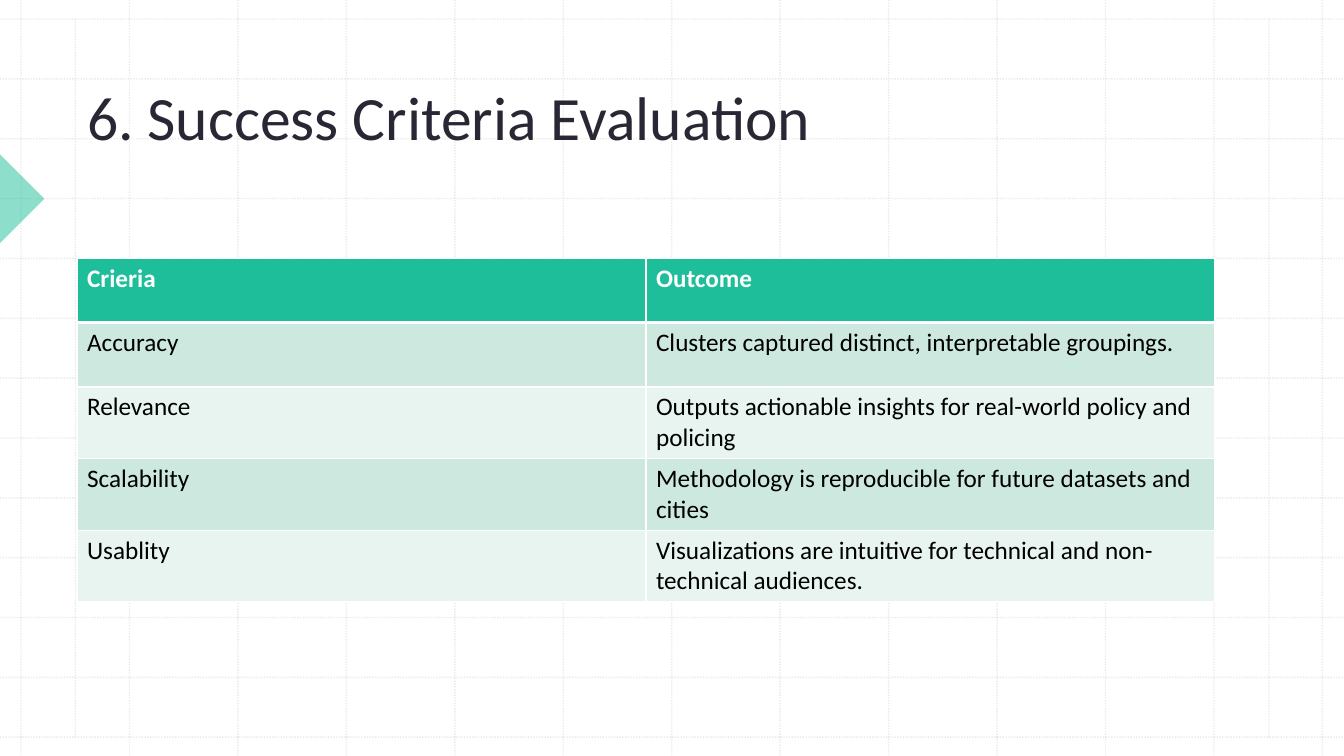
import dataclasses
import typing

import pptx
import pptx.dml.color
import pptx.enum.dml
import pptx.enum.shapes
import pptx.enum.text
import pptx.oxml
import pptx.oxml.ns
import pptx.util

Cm = pptx.util.Cm
Pt = pptx.util.Pt
RGBColor = pptx.dml.color.RGBColor

WHITE = RGBColor(0xFF, 0xFF, 0xFF)
BLACK = RGBColor(0x00, 0x00, 0x00)
INK = RGBColor(0x2A, 0x27, 0x35)
GRID_GREY = RGBColor(0xBC, 0xBC, 0xBC)
GREEN = RGBColor(0x1E, 0xBE, 0x9B)
BAND_DARK = RGBColor(0xCD, 0xE8, 0xDE)
BAND_LIGHT = RGBColor(0xE8, 0xF4, 0xEF)

FONT = "Calibri"
WIDTH, HEIGHT = 33.87, 19.05
GRID_LEFT, GRID_TOP = 0.53, 0.48
COLUMN_STEP, ROW_STEP = 2.733, 1.508
GRID_COUNT = 13
CONTENT_LEFT, CONTENT_WIDTH = 1.94, 28.68
ROW_HEIGHT = 1.62


@dataclasses.dataclass(frozen=True)
class GridLine:
    x1: float
    y1: float
    x2: float
    y2: float


@dataclasses.dataclass(frozen=True)
class Criterion:
    name: str
    outcome: str


HEADER = Criterion("Crieria", "Outcome")
CRITERIA = [
    Criterion("Accuracy", "Clusters captured distinct, interpretable groupings."),
    Criterion("Relevance", "Outputs actionable insights for real-world policy and policing"),
    Criterion("Scalability", "Methodology is reproducible for future datasets and cities"),
    Criterion("Usablity", "Visualizations are intuitive for technical and non-technical audiences."),
]


def grid_lines() -> list[GridLine]:
    bottom = GRID_TOP + (GRID_COUNT - 1) * ROW_STEP
    columns = [GRID_LEFT + index * COLUMN_STEP for index in range(GRID_COUNT)]
    rows = [GRID_TOP + index * ROW_STEP for index in range(GRID_COUNT)]
    return (
        [GridLine(x, 0, x, HEIGHT) for x in columns]
        + [GridLine(0, y, WIDTH, y) for y in rows]
        + [GridLine(x, GRID_TOP, x, bottom) for x in (1.9, 31.98)]
    )


def set_alpha(properties: typing.Any, percent: int) -> None:
    color = properties.find(".//" + pptx.oxml.ns.qn("a:srgbClr"))
    color.append(pptx.oxml.parse_xml(
        f'<a:alpha {pptx.oxml.ns.nsdecls("a")} val="{percent * 1000}"/>'))


def draw_grid_line(slide: typing.Any, line: GridLine) -> None:
    connector = slide.shapes.add_connector(
        pptx.enum.shapes.MSO_CONNECTOR.STRAIGHT,
        Cm(line.x1), Cm(line.y1), Cm(line.x2), Cm(line.y2))
    connector.line.color.rgb = GRID_GREY
    connector.line.width = Pt(1)
    connector.line.dash_style = pptx.enum.dml.MSO_LINE.ROUND_DOT
    properties = connector.element.spPr
    set_alpha(properties, 30)
    properties.append(pptx.oxml.parse_xml(
        f'<a:effectLst {pptx.oxml.ns.nsdecls("a")}/>'))


def draw_marker(slide: typing.Any) -> None:
    marker = slide.shapes.add_shape(
        pptx.enum.shapes.MSO_SHAPE.RIGHT_TRIANGLE,
        Cm(-0.79), Cm(4.22), Cm(1.58), Cm(1.58))
    marker.rotation = 225
    marker.shadow.inherit = False
    marker.fill.solid()
    marker.fill.fore_color.rgb = GREEN
    marker.line.fill.background()
    set_alpha(marker.element.spPr, 50)


def write_text(text_frame: typing.Any, text: str, *, size: float,
               color: RGBColor, bold: bool = False) -> None:
    paragraph = text_frame.paragraphs[0]
    paragraph.alignment = pptx.enum.text.PP_ALIGN.LEFT
    run = paragraph.add_run()
    run.text = text
    run.font.name = FONT
    run.font.size = Pt(size)
    run.font.bold = bold
    run.font.color.rgb = color


def draw_title(slide: typing.Any, text: str) -> None:
    title = slide.shapes.title
    title.left, title.top = Cm(CONTENT_LEFT), Cm(1.7)
    title.width, title.height = Cm(CONTENT_WIDTH), Cm(2.29)
    title.text_frame.auto_size = pptx.enum.text.MSO_AUTO_SIZE.NONE
    title.text_frame.word_wrap = True
    title.text_frame.vertical_anchor = pptx.enum.text.MSO_ANCHOR.BOTTOM
    write_text(title.text_frame, text, size=44, color=INK)
    title.element.getparent().append(title.element)


def set_borders(cell: typing.Any, top: float, bottom: float) -> None:
    properties = cell._tc.get_or_add_tcPr()
    for side, width in (("L", 1), ("R", 1), ("T", top), ("B", bottom)):
        properties.append(pptx.oxml.parse_xml(
            f'<a:ln{side} {pptx.oxml.ns.nsdecls("a")} w="{Pt(width)}">'
            f'<a:solidFill><a:srgbClr val="{WHITE}"/></a:solidFill></a:ln{side}>'))


def draw_table(slide: typing.Any, criteria: list[Criterion]) -> None:
    rows = [HEADER, *criteria]
    table = slide.shapes.add_table(
        len(rows), 2, Cm(CONTENT_LEFT), Cm(6.51),
        Cm(CONTENT_WIDTH), Cm(ROW_HEIGHT * len(rows))).table
    for row_index, criterion in enumerate(rows):
        is_header = row_index == 0
        band = BAND_DARK if row_index % 2 else BAND_LIGHT
        for column_index, text in enumerate((criterion.name, criterion.outcome)):
            cell = table.cell(row_index, column_index)
            set_borders(cell, top=3 if row_index == 1 else 1,
                        bottom=3 if is_header else 1)
            cell.fill.solid()
            cell.fill.fore_color.rgb = GREEN if is_header else band
            write_text(cell.text_frame, text, size=18,
                       color=WHITE if is_header else BLACK, bold=is_header)


def main() -> None:
    presentation = pptx.Presentation()
    presentation.slide_width, presentation.slide_height = Cm(WIDTH), Cm(HEIGHT)
    slide = presentation.slides.add_slide(presentation.slide_layouts[5])
    slide.background.fill.solid()
    slide.background.fill.fore_color.rgb = WHITE
    for line in grid_lines():
        draw_grid_line(slide, line)
    draw_marker(slide)
    draw_title(slide, "6. Success Criteria Evaluation")
    draw_table(slide, CRITERIA)
    presentation.save("out.pptx")


if __name__ == "__main__":
    main()
